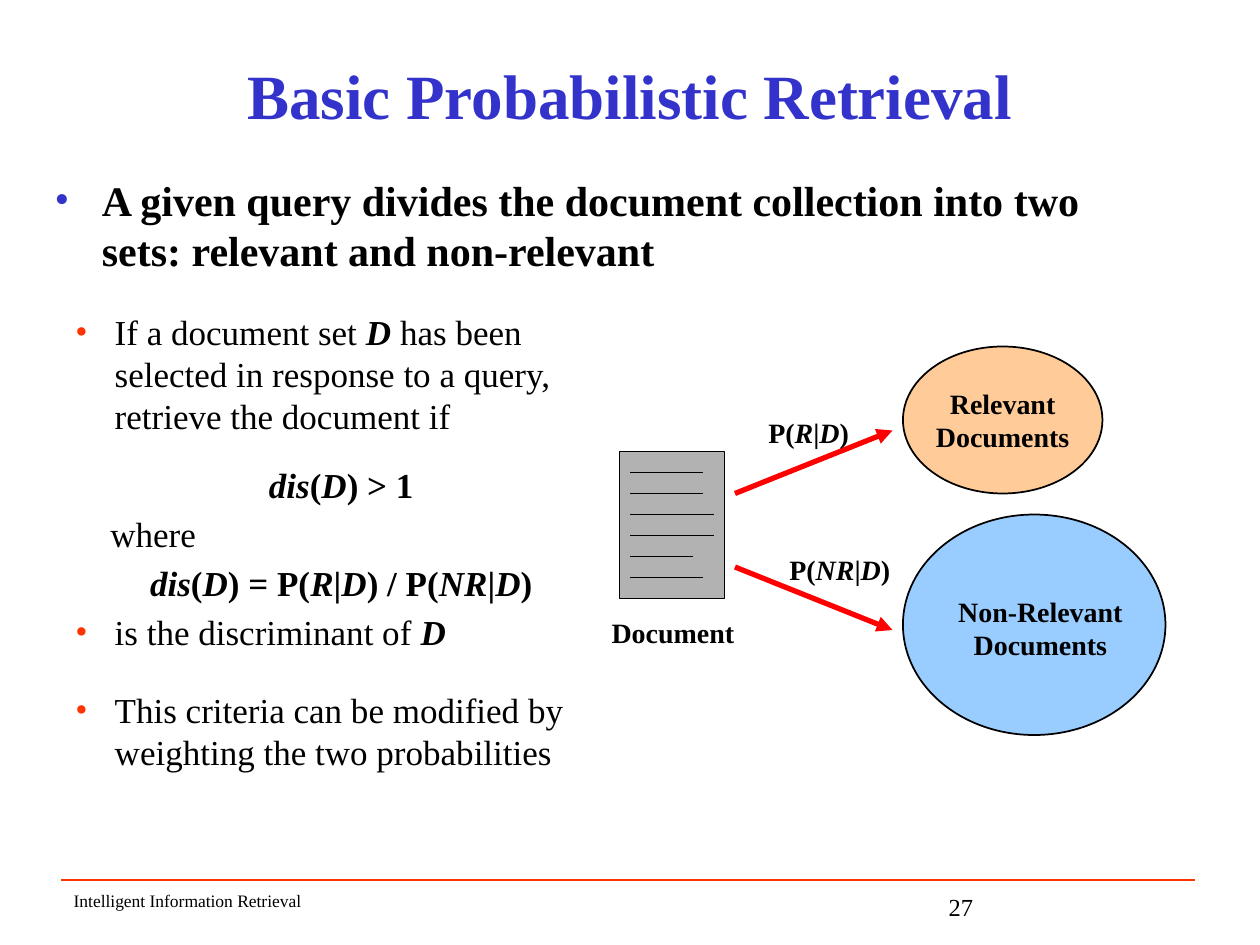
"""Build the Basic Probabilistic Retrieval slide."""
from lxml.etree import SubElement
from pptx import Presentation
from pptx.dml.color import RGBColor
from pptx.enum.shapes import MSO_CONNECTOR, MSO_SHAPE
from pptx.enum.text import MSO_ANCHOR, MSO_AUTO_SIZE, PP_ALIGN
from pptx.oxml.ns import qn
from pptx.util import Pt

FONT = "Times New Roman"
COLORS = {
    "title": "3333CC",
    "accent": "FF3300",
    "text": "000000",
    "arrow": "FF0000",
    "relevant": "FFCC99",
    "non_relevant": "99CCFF",
    "page": "B2B2B2",
}


def color(name):
    return RGBColor.from_string(COLORS[name])


def formula(*parts):
    return [(part, True, part.isalpha()) for part in parts]


def bold(text):
    return [(text, True, False)]


def plain(text):
    return [(text, False, False)]


def add_runs(paragraph, runs, size, ink="text"):
    for text, is_bold, is_italic in runs:
        run = paragraph.add_run()
        run.text = text
        font = run.font
        font.name, font.size = FONT, Pt(size)
        font.bold, font.italic = is_bold, is_italic
        font.color.rgb = color(ink)


def next_paragraph(frame):
    first = frame.paragraphs[0]
    return frame.add_paragraph() if first.runs else first


def add_item(frame, runs, size, left, hanging=0, bullet=None, before=4, align=PP_ALIGN.LEFT):
    paragraph = next_paragraph(frame)
    paragraph.alignment = align
    paragraph.space_before = Pt(before)
    add_runs(paragraph, runs, size)
    properties = paragraph._p.get_or_add_pPr()
    properties.set("marL", str(Pt(left)))
    properties.set("indent", str(Pt(-hanging)))
    if bullet:
        bullet_color = SubElement(properties, qn("a:buClr"))
        SubElement(bullet_color, qn("a:srgbClr"), val=COLORS[bullet])
        SubElement(properties, qn("a:buFont"), typeface=FONT)
        SubElement(properties, qn("a:buChar"), char="•")


def place(shape, left, top, width, height):
    shape.left, shape.top = Pt(left), Pt(top)
    shape.width, shape.height = Pt(width), Pt(height)
    shape.text_frame.auto_size = MSO_AUTO_SIZE.NONE
    return shape.text_frame


def add_text(slide, box, lines, size, align=PP_ALIGN.LEFT, wrap=False):
    frame = slide.shapes.add_textbox(*map(Pt, box)).text_frame
    frame.word_wrap = wrap
    for runs in lines:
        paragraph = next_paragraph(frame)
        paragraph.alignment = align
        add_runs(paragraph, runs, size)


def add_outlined(shapes, kind, box, fill):
    shape = shapes.add_shape(kind, *map(Pt, box))
    shape.shadow.inherit = False
    shape.fill.solid()
    shape.fill.fore_color.rgb = color(fill)
    shape.line.color.rgb = color("text")
    shape.line.width = Pt(1)
    return shape


def add_line(shapes, start, end, ink="text", width=1, arrow=False):
    line = shapes.add_connector(MSO_CONNECTOR.STRAIGHT, *map(Pt, start + end))
    line.line.color.rgb = color(ink)
    line.line.width = Pt(width)
    if arrow:
        SubElement(line.line._get_or_add_ln(), qn("a:tailEnd"), type="triangle")
    SubElement(line._element.spPr, qn("a:effectLst"))


def add_footer(slide):
    add_line(slide.shapes, (35, 503), (683, 503), "accent")
    add_text(slide, (35, 505, 270, 18), [plain("Intelligent Information Retrieval")], 10, wrap=True)
    add_text(slide, (535, 506, 150, 18), [plain("27")], 14, wrap=True)


def add_headings(slide):
    title = place(slide.shapes.title, 54, 24, 612, 60)
    title.vertical_anchor = MSO_ANCHOR.MIDDLE
    title.paragraphs[0].alignment = PP_ALIGN.CENTER
    add_runs(title.paragraphs[0], bold("Basic Probabilistic Retrieval"), 36, "title")
    statement = place(slide.placeholders[1], 24, 96, 612, 60)
    add_item(
        statement,
        bold("A given query divides the document collection into two sets: relevant and non-relevant"),
        24, 27, 27, "title", before=4.8,
    )


def add_criteria(slide):
    frame = slide.shapes.add_textbox(Pt(0), Pt(174), Pt(354), Pt(294)).text_frame
    frame.word_wrap = True
    bulleted = {"size": 20, "left": 58.5, "hanging": 22.5, "bullet": "accent"}
    centered = {"size": 20, "left": 58.5, "hanging": 22.5, "align": PP_ALIGN.CENTER}
    add_item(
        frame,
        plain("If a document set ") + formula("D")
        + plain(" has been selected in response to a query, retrieve the document if"),
        **bulleted,
    )
    add_item(frame, formula("dis", "(", "D", ") > 1"), before=15.5, **centered)
    add_item(frame, plain("where"), size=20, left=56)
    add_item(
        frame,
        formula("dis", "(", "D", ") = P(", "R", "|", "D", ") / P(", "NR", "|", "D", ")"),
        **centered,
    )
    add_item(frame, plain("is the discriminant of ") + formula("D"), **bulleted)
    add_item(
        frame,
        plain("This criteria can be modified by weighting the two probabilities"),
        before=20.5, **bulleted,
    )


def add_document(slide):
    document = slide.shapes.add_group_shape().shapes
    add_outlined(document, MSO_SHAPE.RECTANGLE, (354, 258, 60, 84), "page")
    for row, length in enumerate((42, 42, 48, 48, 36, 42)):
        y = 270 + 12 * row
        add_line(document, (360, y), (360 + length, y))
    add_text(slide, (342, 348, 85, 27), [bold("Document")], 16, PP_ALIGN.CENTER)


def add_document_sets(slide):
    relevant = add_outlined(slide.shapes, MSO_SHAPE.OVAL, (516, 198, 114, 84), "relevant")
    frame = relevant.text_frame
    frame.word_wrap = False
    frame.vertical_anchor = MSO_ANCHOR.MIDDLE
    for word in ("Relevant", "Documents"):
        paragraph = next_paragraph(frame)
        paragraph.alignment = PP_ALIGN.CENTER
        add_runs(paragraph, bold(word), 16)
    add_outlined(slide.shapes, MSO_SHAPE.OVAL, (516, 294, 150, 126), "non_relevant")
    add_text(
        slide, (540, 336, 109, 46), [bold("Non-Relevant"), bold("Documents")], 16, PP_ALIGN.CENTER
    )


def add_probabilities(slide):
    for start, end, label_box, outcome in (
        ((420, 282), (510, 246), (432, 234, 64, 27), "R"),
        ((420, 324), (510, 360), (444, 312, 74, 27), "NR"),
    ):
        add_line(slide.shapes, start, end, "arrow", 3, arrow=True)
        add_text(slide, label_box, [formula("P(", outcome, "|", "D", ")")], 16)


def main():
    presentation = Presentation()
    presentation.slide_width, presentation.slide_height = Pt(720), Pt(540)
    slide = presentation.slides.add_slide(presentation.slide_layouts[1])
    add_footer(slide)
    add_headings(slide)
    add_document_sets(slide)
    add_document(slide)
    add_probabilities(slide)
    add_criteria(slide)
    presentation.save("out.pptx")


if __name__ == "__main__":
    main()
